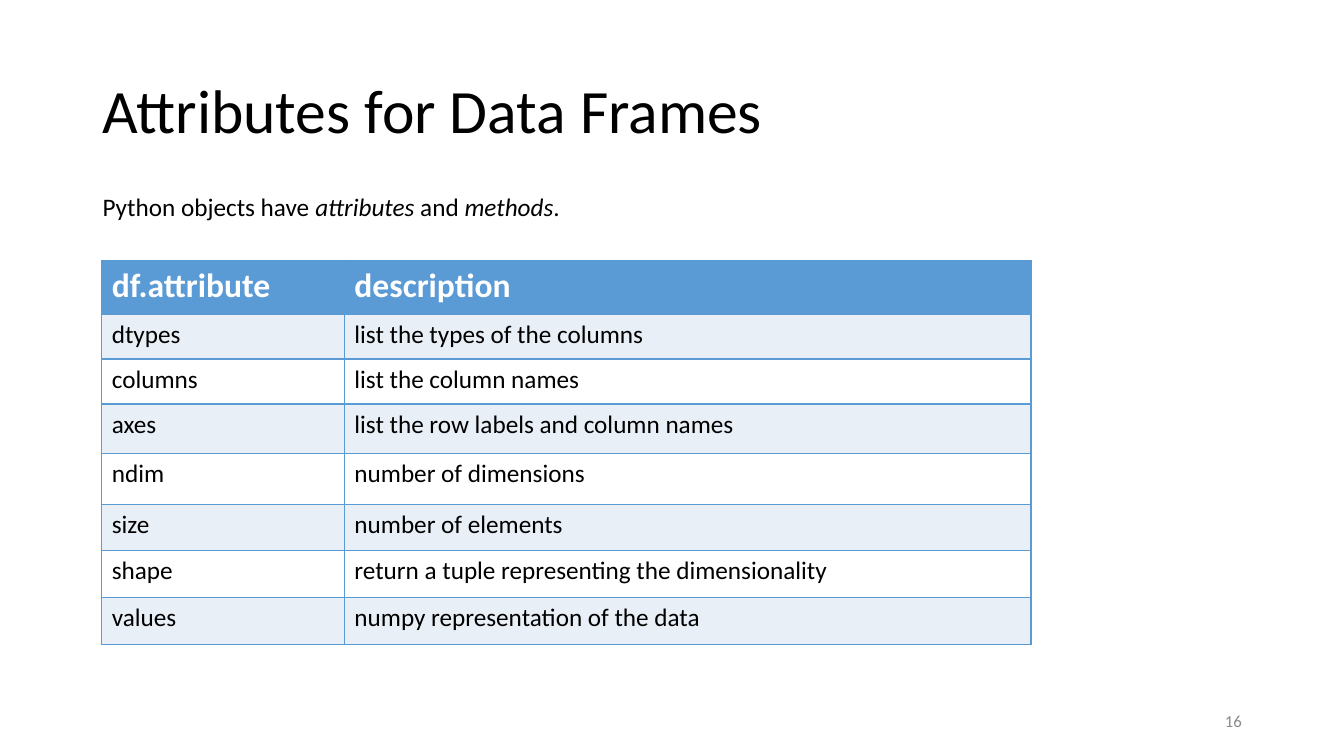
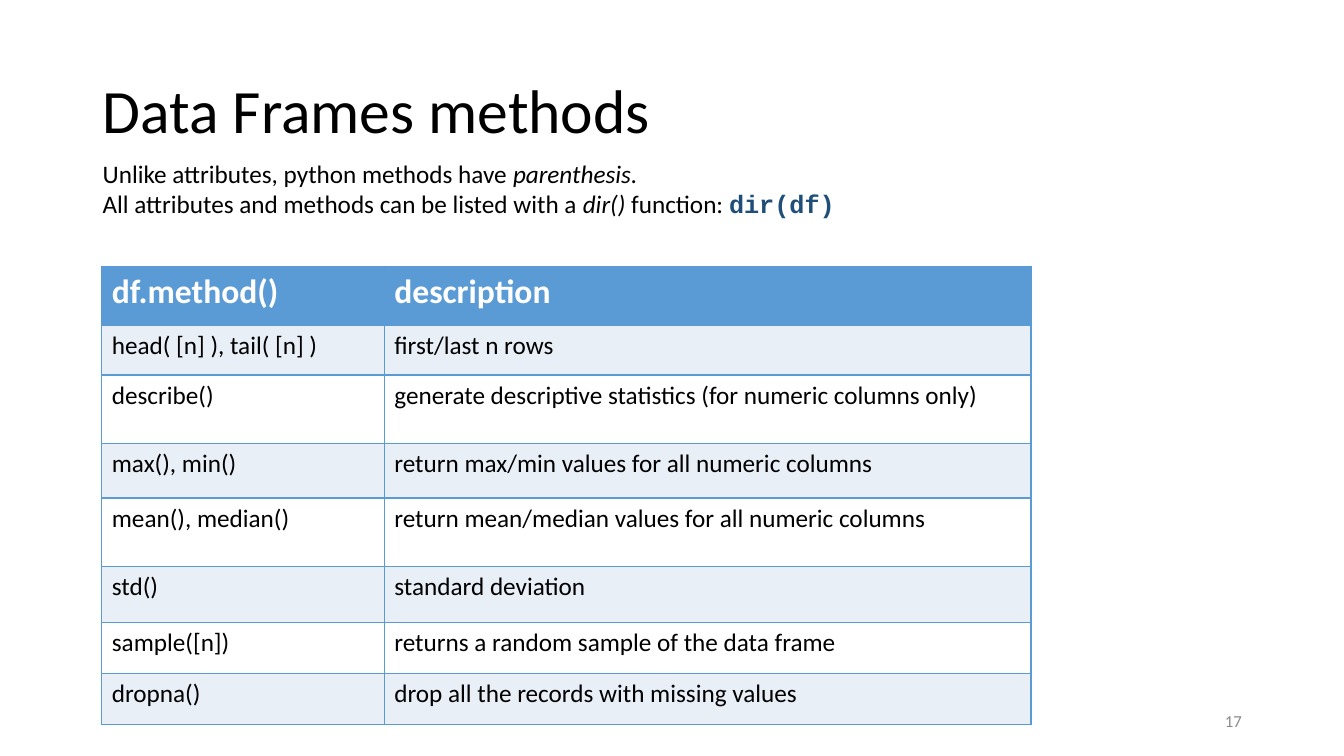
from lxml import etree
from pptx import Presentation
from pptx.dml.color import RGBColor
from pptx.enum.text import MSO_ANCHOR, PP_ALIGN
from pptx.oxml.ns import qn
from pptx.util import Pt

TOP, MIDDLE = MSO_ANCHOR.TOP, MSO_ANCHOR.MIDDLE
LEFT, RIGHT = PP_ALIGN.LEFT, PP_ALIGN.RIGHT

BLACK = RGBColor(0x00, 0x00, 0x00)
WHITE = RGBColor(0xFF, 0xFF, 0xFF)
GRAY = RGBColor(0x8B, 0x8B, 0x8B)
BLUE = RGBColor(0x5B, 0x9B, 0xD5)
PALE_BLUE = RGBColor(0xE9, 0xEF, 0xF7)
CODE_BLUE = RGBColor(0x1F, 0x4E, 0x79)

BODY_FONT, CODE_FONT = "Calibri", "Courier New"
ITALIC = {"italic": True}
CODE = {"font": CODE_FONT, "color": CODE_BLUE, "bold": True}

TEXT_LEFT = 66.24
TABLE_LEFT = 72.72
BORDER_WIDTH = 0.96

ATTRIBUTES = [
    ("df.attribute", "description"),
    ("dtypes", "list the types of the columns"),
    ("columns", "list the column names"),
    ("axes", "list the row labels and column names"),
    ("ndim", "number of dimensions"),
    ("size", "number of elements"),
    ("shape", "return a tuple representing the dimensionality"),
    ("values", "numpy representation of the data"),
]
METHODS = [
    ("df.method()", "description"),
    ("head( [n] ), tail( [n] )", "first/last n rows"),
    ("describe()", "generate descriptive statistics (for numeric columns only)"),
    ("max(), min()", "return max/min values for all numeric columns"),
    ("mean(), median()", "return mean/median values for all numeric columns"),
    ("std()", "standard deviation"),
    ("sample([n])", "returns a random sample of the data frame"),
    ("dropna()", "drop all the records with missing values"),
]


def add_span(para, text, *, size=18, font=BODY_FONT, color=BLACK, bold=False, italic=False):
    span = para.add_run()
    span.text = text
    span.font.size = Pt(size)
    span.font.name = font
    span.font.color.rgb = color
    span.font.bold = bold
    span.font.italic = italic


def add_text(page, place, paragraphs, *, anchor=TOP, align=LEFT, spacing=1.0, **style):
    """Add a text box; each paragraph is a list of (text, style changes)."""
    frame = page.shapes.add_textbox(*map(Pt, place)).text_frame
    frame.word_wrap = True
    frame.vertical_anchor = anchor
    for index, spans in enumerate(paragraphs):
        para = frame.add_paragraph() if index else frame.paragraphs[0]
        para.alignment = align
        para.line_spacing = spacing
        for text, changes in spans:
            add_span(para, text, **{**style, **changes})


def add_borders(cell):
    properties = cell._tc.get_or_add_tcPr()
    for side in ("lnL", "lnR", "lnT", "lnB"):
        line = etree.SubElement(properties, qn(f"a:{side}"), w=str(Pt(BORDER_WIDTH)))
        fill = etree.SubElement(line, qn("a:solidFill"))
        etree.SubElement(fill, qn("a:srgbClr"), val=str(BLUE))


def add_table(page, top, widths, heights, rows):
    """Add a bordered table with a blue header and alternating row fills."""
    table = page.shapes.add_table(
        len(rows), len(widths), Pt(TABLE_LEFT), Pt(top), Pt(sum(widths)), Pt(sum(heights))
    ).table
    for column, width in zip(table.columns, widths):
        column.width = Pt(width)
    for index, (row, height, texts) in enumerate(zip(table.rows, heights, rows)):
        row.height = Pt(height)
        if index == 0:
            fill, style = BLUE, {"size": 24, "color": WHITE, "bold": True}
        else:
            fill, style = (PALE_BLUE if index % 2 else WHITE), {}
        for cell, text in zip(row.cells, texts):
            add_borders(cell)
            cell.fill.solid()
            cell.fill.fore_color.rgb = fill
            add_span(cell.text_frame.paragraphs[0], text, **style)


def add_page(deck, title, number):
    page = deck.slides.add_slide(deck.slide_layouts[6])
    add_text(page, (TEXT_LEFT, 28.8, 828, 104.4), [[(title, {})]],
             anchor=MIDDLE, spacing=0.9, size=44)
    add_text(page, (678.24, 500.4, 216, 28.8), [[(str(number), {})]],
             anchor=MIDDLE, align=RIGHT, size=12, color=GRAY)
    return page


def add_attributes_page(deck):
    page = add_page(deck, "Attributes for Data Frames", 16)
    add_text(page, (TEXT_LEFT, 133.2, 590, 28.8), [[
        ("Python objects have ", {}), ("attributes", ITALIC),
        (" and ", {}), ("methods", ITALIC), (".", {}),
    ]])
    add_table(page, 186, (173.3, 490.5),
              (38.4, 32.1, 32.1, 35.6, 36.2, 33.1, 33.4, 33.6), ATTRIBUTES)


def add_methods_page(deck):
    page = add_page(deck, "Data Frames methods", 17)
    add_table(page, 190.1, (201.8, 462),
              (42.5, 35.3, 49.1, 38.8, 49.1, 39.6, 36.6, 36.6), METHODS)
    add_text(page, (TEXT_LEFT, 109.4, 590, 72), [
        [("Unlike attributes, python methods have ", {}), ("parenthesis.", ITALIC)],
        [("All attributes and methods can be listed with a ", {}), ("dir() ", ITALIC),
         ("function: ", {}), ("dir(df)", CODE)],
    ])


def main():
    deck = Presentation()
    deck.slide_width, deck.slide_height = Pt(960), Pt(540)
    add_attributes_page(deck)
    add_methods_page(deck)
    deck.save("out.pptx")


if __name__ == "__main__":
    main()
